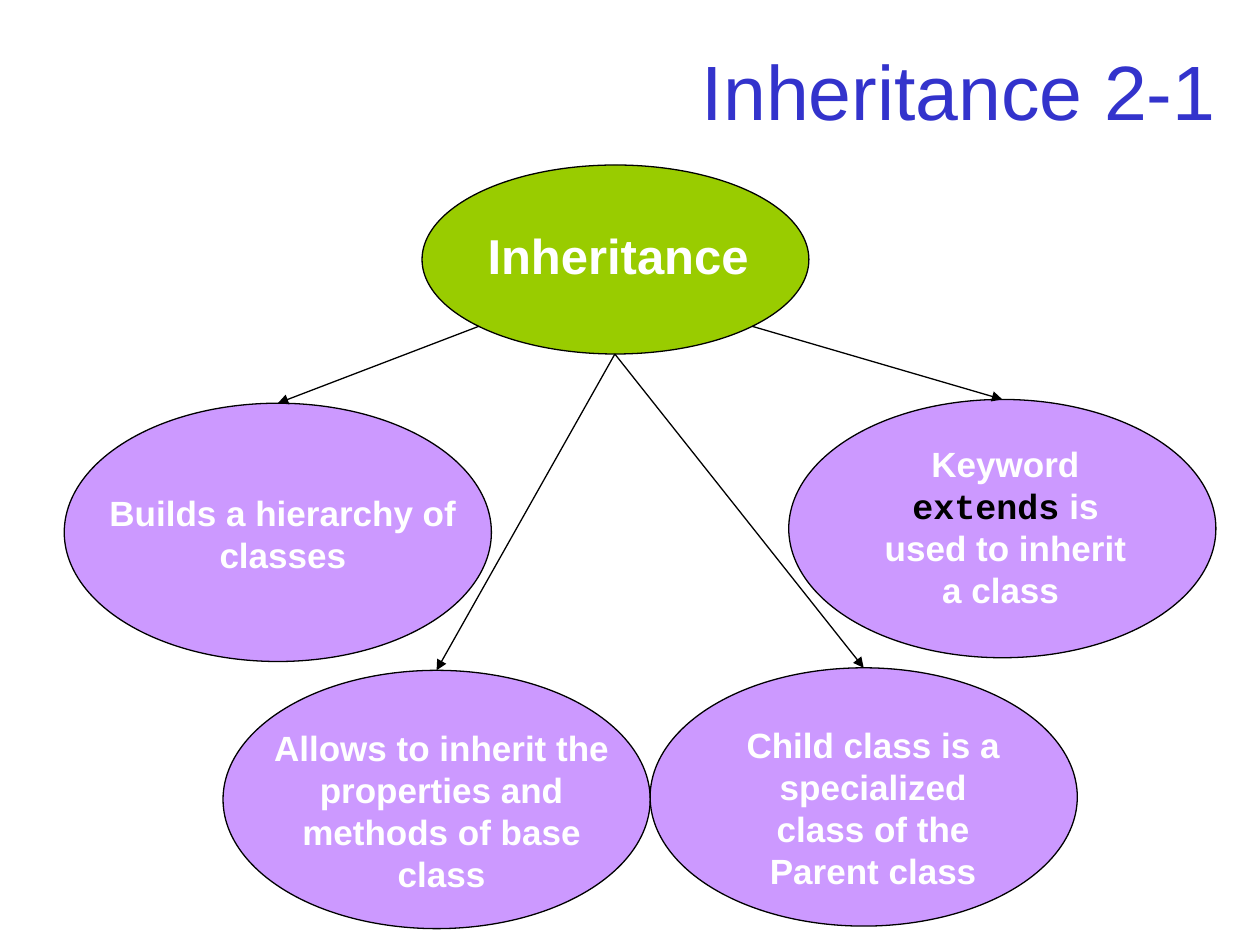
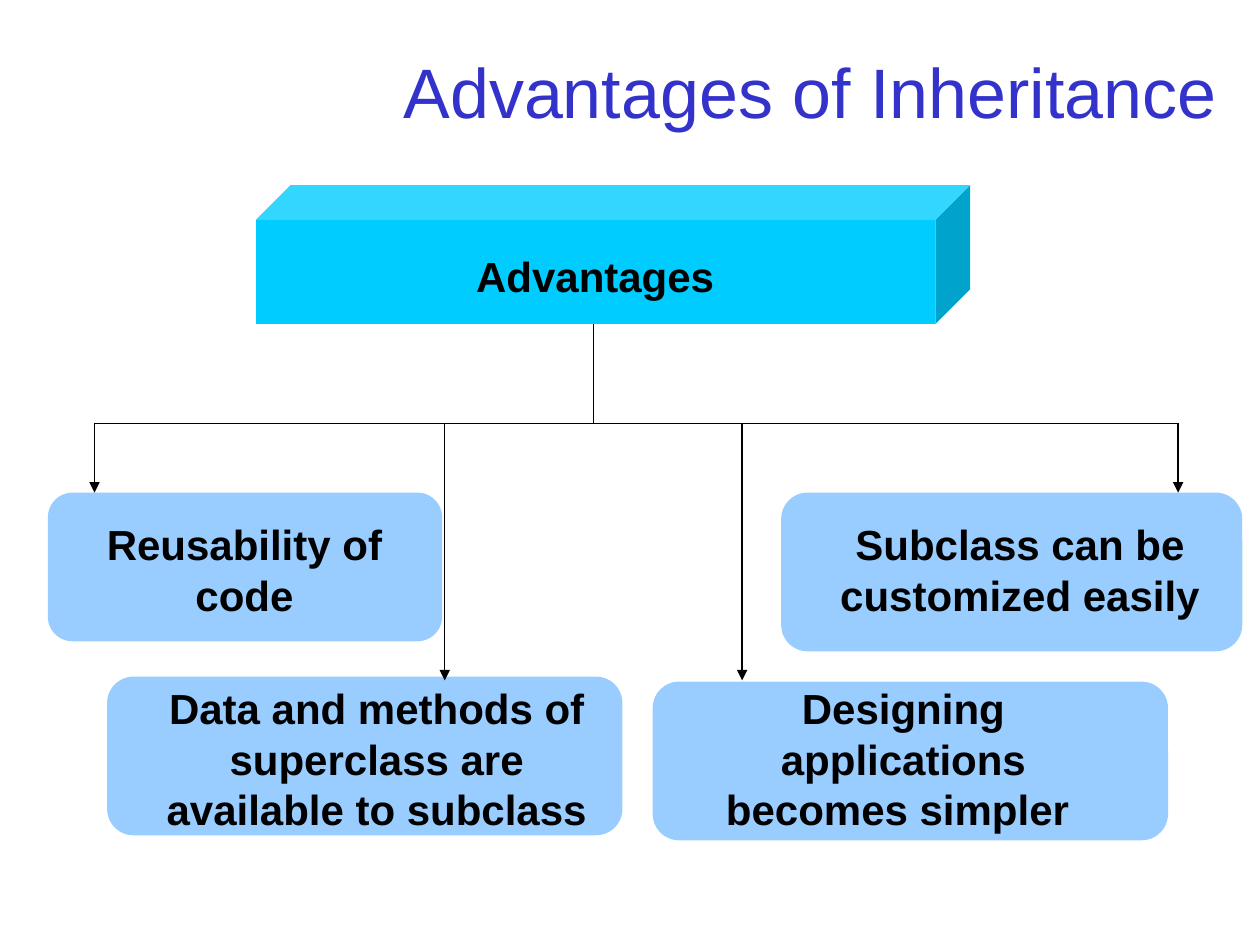
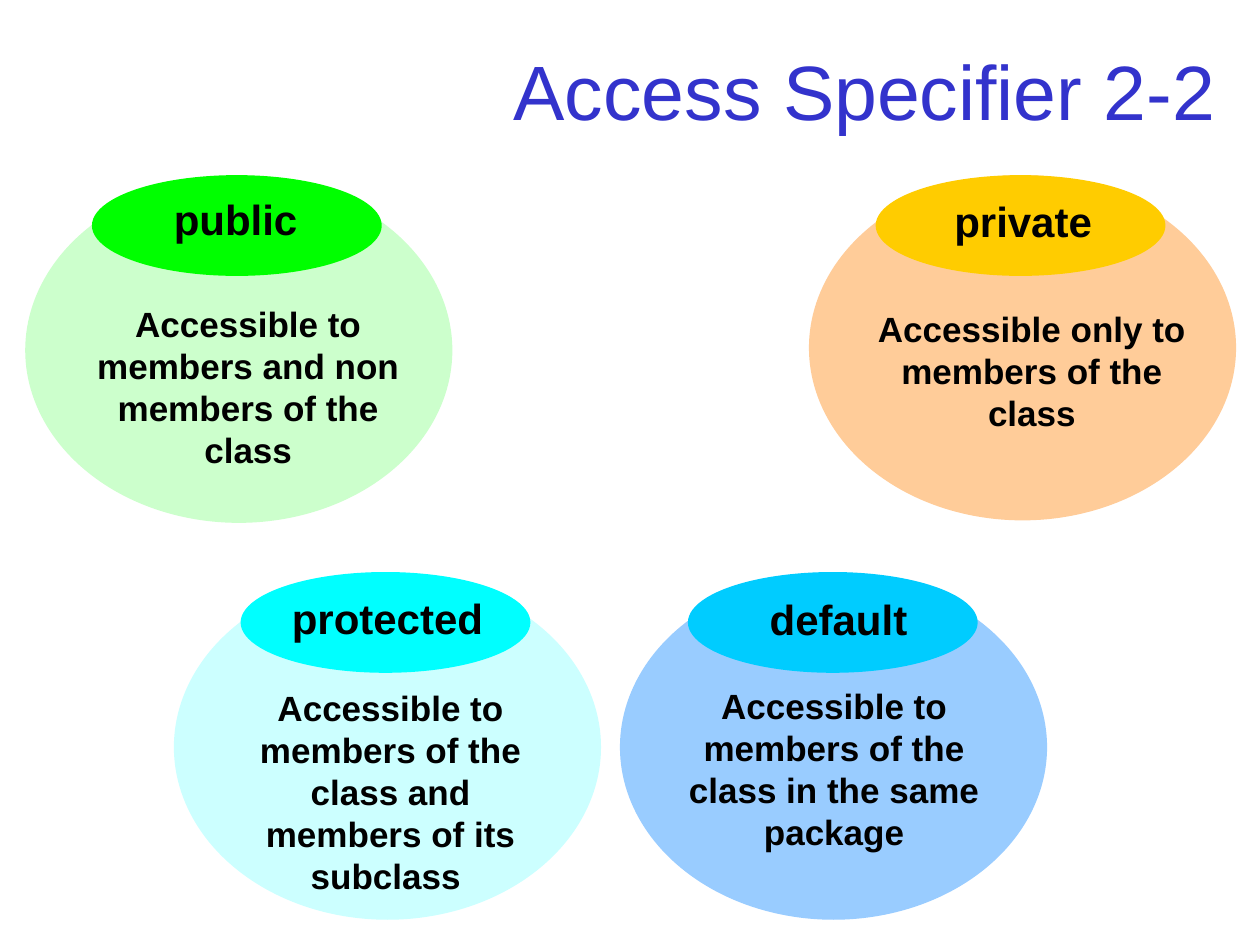
"""Build three slides on class inheritance and access specifiers."""

from dataclasses import dataclass
from typing import NamedTuple, Optional

from lxml.etree import SubElement
from pptx import Presentation
from pptx.dml.color import RGBColor
from pptx.enum.shapes import MSO_CONNECTOR, MSO_SHAPE as Preset
from pptx.enum.text import MSO_ANCHOR as Anchor, PP_ALIGN as Align
from pptx.oxml.ns import qn
from pptx.shapes.autoshape import Shape
from pptx.slide import Slide
from pptx.util import Inches, Pt


@dataclass(frozen=True)
class Theme:
    font: str = "Arial"
    code_font: str = "Courier New"
    title: str = "3333CC"
    ink: str = "000000"
    paper: str = "FFFFFF"
    root: str = "99CC00"
    trait: str = "CC99FF"
    cube: str = "00CCFF"
    benefit: str = "99CCFF"
    title_size: float = 44
    long_title_size: float = 40
    root_size: float = 28
    heading_size: float = 24
    body_size: float = 20
    line_width: float = 0.75


THEME = Theme()


class Box(NamedTuple):
    left: float
    top: float
    width: float
    height: float


class Point(NamedTuple):
    x: float
    y: float


class Trait(NamedTuple):
    oval: Point
    caption: Box
    text: str
    arrow_start: Point
    code: str = ""


class Benefit(NamedTuple):
    panel: Box
    caption: Box
    text: str
    arrow_x: float
    arrow_end: float


class Specifier(NamedTuple):
    bowl: Point
    lid: Point
    bowl_color: str
    lid_color: str
    keyword: str
    keyword_box: Box
    access: str
    access_box: Box


OVAL_SIZE = (3.39, 2.05)
BOWL_SIZE = (3.39, 2.74)
LID_SIZE = (2.3, 0.8)
BUS_Y = 3.36
ROOT_BOTTOM = Point(4.88, 2.81)

TRAITS = (
    Trait(Point(1.77, 5.32), Box(1.93, 5.72, 3.15, 1.44),
          "Allows to inherit the properties and methods of base class", ROOT_BOTTOM),
    Trait(Point(0.51, 3.2), Box(0.75, 3.85, 2.99, 0.77),
          "Builds a hierarchy of classes", Point(3.8, 2.59)),
    Trait(Point(6.26, 3.17), Box(6.84, 3.46, 2.28, 1.44),
          "Keyword extends is used to inherit a class ", Point(5.97, 2.59), "extends"),
    Trait(Point(5.16, 5.3), Box(5.79, 5.69, 2.28, 1.44),
          "Child class is a specialized class of the Parent class", ROOT_BOTTOM),
)

BENEFITS = (
    Benefit(Box(0.38, 3.91, 3.13, 1.18), Box(0.45, 4.07, 2.98, 0.9),
            "Reusability of code", 0.75, 3.91),
    Benefit(Box(0.85, 5.37, 4.09, 1.26), Box(1.16, 5.37, 3.66, 1.3),
            "Data and methods of superclass are available to subclass", 3.53, 5.4),
    Benefit(Box(5.18, 5.41, 4.09, 1.26), Box(5.34, 5.37, 3.66, 1.3),
            "Designing applications becomes simpler ", 5.89, 5.4),
    Benefit(Box(6.2, 3.91, 3.66, 1.26), Box(6.52, 4.07, 3.15, 0.9),
            "Subclass can be customized easily", 9.35, 3.91),
)

SPECIFIERS = (
    Specifier(Point(4.92, 4.56), Point(5.46, 4.54), "99CCFF", "00CCFF",
              "default", Box(5.79, 4.66, 1.73, 0.5),
              "Accessible to members of the class in the same package",
              Box(5.24, 5.38, 2.76, 1.44)),
    Specifier(Point(6.42, 1.39), Point(6.95, 1.39), "FFCC99", "FFCC00",
              "private", Box(7.41, 1.5, 1.42, 0.5),
              "Accessible only to members of the class",
              Box(6.81, 2.39, 2.76, 1.1)),
    Specifier(Point(1.38, 4.56), Point(1.91, 4.54), "CCFFFF", "00FFFF",
              "protected", Box(2.17, 4.65, 1.81, 0.5),
              "Accessible to members of the class and members of its subclass ",
              Box(1.72, 5.4, 2.76, 1.77)),
    Specifier(Point(0.2, 1.41), Point(0.73, 1.39), "CCFFCC", "00FF00",
              "public", Box(1.24, 1.49, 1.26, 0.5),
              "Accessible to members and non members of the class",
              Box(0.59, 2.35, 2.76, 1.44)),
)


def rgb(color: str) -> RGBColor:
    return RGBColor.from_string(color)


def add_text(slide: Slide, box: Box, text: str, size: float, color: str = THEME.ink,
             bold: bool = True, align: Align = Align.CENTER,
             anchor: Anchor = Anchor.TOP, code: str = "") -> None:
    frame = slide.shapes.add_textbox(*map(Inches, box)).text_frame
    frame.word_wrap = True
    frame.vertical_anchor = anchor
    first, *rest = text.partition(code) if code else (text,)
    frame.text = first
    paragraph = frame.paragraphs[0]
    paragraph.alignment = align
    for piece in rest:
        paragraph.add_run().text = piece
    for run in paragraph.runs:
        is_code = run.text == code
        run.font.name = THEME.code_font if is_code else THEME.font
        run.font.size = Pt(size)
        run.font.bold = bold
        run.font.color.rgb = rgb(THEME.ink if is_code else color)


def add_title(slide: Slide, text: str, size: float = THEME.title_size) -> None:
    add_text(slide, Box(0.75, 0.28, 9, 0.87), text, size, THEME.title,
             bold=False, align=Align.RIGHT, anchor=Anchor.MIDDLE)


def add_filled(slide: Slide, preset: Preset, box: Box, color: str,
               outlined: bool = False) -> Shape:
    shape = slide.shapes.add_shape(preset, *map(Inches, box))
    shape.shadow.inherit = False
    shape.fill.solid()
    shape.fill.fore_color.rgb = rgb(color)
    if outlined:
        shape.line.color.rgb = rgb(THEME.ink)
        shape.line.width = Pt(THEME.line_width)
    else:
        shape.line.fill.background()
    return shape


def add_line(slide: Slide, start: Point, end: Point, arrow: bool = False,
             target: Optional[Shape] = None) -> None:
    line = slide.shapes.add_connector(MSO_CONNECTOR.STRAIGHT, *map(Inches, start + end))
    line.line.color.rgb = rgb(THEME.ink)
    line.line.width = Pt(THEME.line_width)
    properties = line._element.spPr
    if arrow:
        SubElement(properties.find(qn("a:ln")), qn("a:tailEnd"), type="triangle")
    SubElement(properties, qn("a:effectLst"))
    if target is not None:
        line.end_connect(target, 0)


def build_inheritance(slide: Slide) -> None:
    add_title(slide, "Inheritance 2-1")
    add_filled(slide, Preset.OVAL, Box(3.35, 1.31, 3.07, 1.5), THEME.root, outlined=True)
    add_text(slide, Box(3.66, 1.74, 2.49, 0.57), "Inheritance", THEME.root_size, THEME.paper)
    ovals = []
    for trait in TRAITS:
        ovals.append(add_filled(slide, Preset.OVAL, Box(*trait.oval, *OVAL_SIZE),
                                THEME.trait, outlined=True))
        add_text(slide, trait.caption, trait.text, THEME.body_size, THEME.paper,
                 code=trait.code)
    for trait, oval in zip(TRAITS, ovals):
        oval_top = Point(trait.oval.x + OVAL_SIZE[0] / 2, trait.oval.y)
        add_line(slide, trait.arrow_start, oval_top, arrow=True, target=oval)


def build_advantages(slide: Slide) -> None:
    add_title(slide, "Advantages of Inheritance", THEME.long_title_size)
    add_filled(slide, Preset.CUBE, Box(2.03, 1.47, 5.67, 1.1), THEME.cube)
    add_text(slide, Box(3.68, 1.94, 2.21, 0.5), "Advantages", THEME.heading_size,
             align=Align.LEFT)
    add_line(slide, Point(4.71, 2.57), Point(4.71, BUS_Y))
    add_line(slide, Point(BENEFITS[0].arrow_x, BUS_Y), Point(BENEFITS[-1].arrow_x, BUS_Y))
    for benefit in BENEFITS:
        add_filled(slide, Preset.ROUNDED_RECTANGLE, benefit.panel, THEME.benefit)
        add_text(slide, benefit.caption, benefit.text, THEME.heading_size)
    for benefit in BENEFITS:
        add_line(slide, Point(benefit.arrow_x, BUS_Y),
                 Point(benefit.arrow_x, benefit.arrow_end), arrow=True)


def build_specifiers(slide: Slide) -> None:
    for item in SPECIFIERS:
        add_filled(slide, Preset.OVAL, Box(*item.bowl, *BOWL_SIZE), item.bowl_color)
        add_text(slide, item.access_box, item.access, THEME.body_size)
    add_title(slide, "Access Specifier 2-2")
    for item in reversed(SPECIFIERS):
        add_filled(slide, Preset.OVAL, Box(*item.lid, *LID_SIZE), item.lid_color)
        add_text(slide, item.keyword_box, item.keyword, THEME.heading_size)


def main() -> None:
    deck = Presentation()
    deck.slide_width, deck.slide_height = Inches(10), Inches(7.5)
    blank = deck.slide_layouts[6]
    for build in (build_inheritance, build_advantages, build_specifiers):
        build(deck.slides.add_slide(blank))
    deck.save("out.pptx")


if __name__ == "__main__":
    main()
